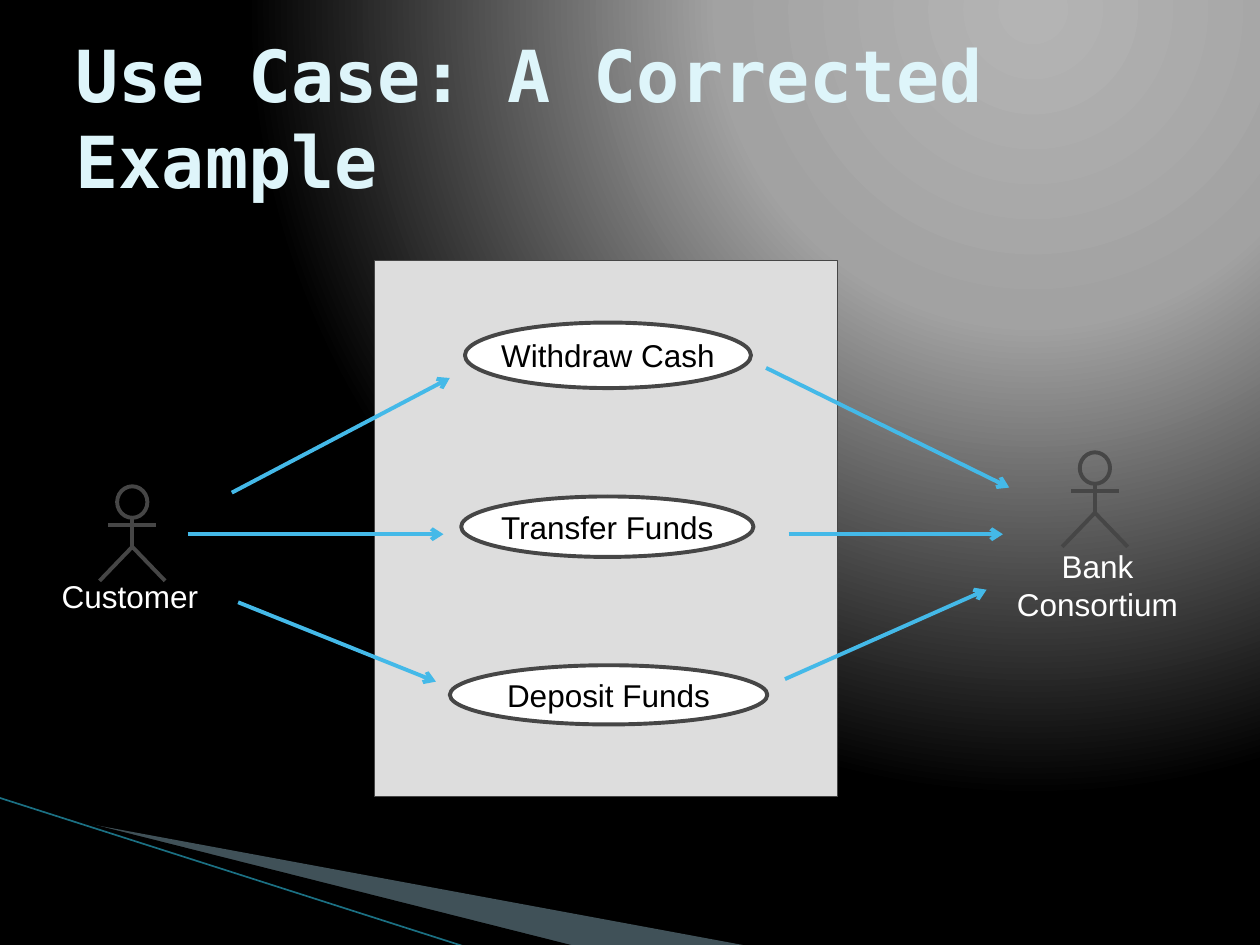
import pptx
import pptx.dml.color
import pptx.enum.shapes
import pptx.enum.text
import pptx.oxml
import pptx.oxml.ns
import pptx.util
from lxml import etree

Inches = pptx.util.Inches
Pt = pptx.util.Pt
RGBColor = pptx.dml.color.RGBColor
Shape = pptx.enum.shapes.MSO_SHAPE
Align = pptx.enum.text.PP_ALIGN
Anchor = pptx.enum.text.MSO_ANCHOR
AutoSize = pptx.enum.text.MSO_AUTO_SIZE
qn = pptx.oxml.ns.qn

BLACK = RGBColor(0x00, 0x00, 0x00)
WHITE = RGBColor(0xFF, 0xFF, 0xFF)
GREY = RGBColor(0x46, 0x46, 0x46)
PANEL = RGBColor(0xDD, 0xDD, 0xDD)
SKY = RGBColor(0x44, 0xB9, 0xE8)
TITLE = RGBColor(0xDE, 0xF5, 0xFA)
WEDGE = RGBColor(0xA0, 0xCB, 0xDC)
TEAL = RGBColor(0x1B, 0x70, 0x83)

BACKGROUND_STOPS = [(0, "B4B4B4"), (40, "A2A2A2"), (100, "000000")]
BACKGROUND_FOCUS = {"l": 65, "t": 0, "r": 0, "b": 98}
TITLE_FORMAT = {"name": "DejaVu Sans Mono", "size": Pt(41), "bold": True}
LABEL_FORMAT = {"name": "Arial", "size": Pt(18), "bold": False}

SWOOSHES = [
    ([(0.55, 6.51), (5.95, 7.51), (4.56, 7.51), (0.55, 6.5)], WEDGE, 40),
    ([(0.53, 6.49), (4.57, 7.51), (3.72, 7.52), (0.54, 6.5)], BLACK, 100),
]
USE_CASES = [
    ("Withdraw Cash", 3.69, 2.56, 2.27, 0.52),
    ("Transfer Funds", 3.66, 3.94, 2.32, 0.48),
    ("Deposit Funds", 3.57, 5.28, 2.52, 0.47),
]
ACTORS = [
    {"name": "Customer", "center": 1.05, "top": 3.86,
     "label": (0.37, 4.52, 1.44, 0.45), "wrap": False, "align": Align.LEFT},
    {"name": "Bank Consortium", "center": 8.69, "top": 3.59,
     "label": (7.76, 4.28, 1.9, 0.78), "wrap": True, "align": Align.CENTER},
]
ARROWS = [
    ((1.84, 3.91), (3.57, 3.0)),
    ((1.49, 4.24), (3.52, 4.24)),
    ((1.89, 4.78), (3.46, 5.41)),
    ((6.08, 2.92), (8.01, 3.87)),
    ((6.26, 4.24), (7.96, 4.24)),
    ((6.23, 5.39), (7.83, 4.68)),
]


def paint(shape, fill=None, line=None, width=2.25):
    shape.shadow.inherit = False
    if fill is None:
        shape.fill.background()
    else:
        shape.fill.solid()
        shape.fill.fore_color.rgb = fill
    if line is None:
        shape.line.fill.background()
    else:
        shape.line.color.rgb = line
        shape.line.width = Pt(width)


def write(frame, text, color, formats, align=Align.LEFT):
    para = frame.paragraphs[0]
    para.alignment = align
    span = para.add_run()
    span.text = text
    span.font.color.rgb = color
    for name, value in formats.items():
        setattr(span.font, name, value)


def add_line(shapes, start, end, color, width=2.25, arrow=False):
    line = shapes.add_connector(pptx.enum.shapes.MSO_CONNECTOR.STRAIGHT,
                                *map(Inches, start + end))
    line.line.color.rgb = color
    line.line.width = Pt(width)
    if arrow:
        etree.SubElement(line.line._get_or_add_ln(), qn("a:tailEnd"), type="arrow")
    etree.SubElement(line._element.spPr, qn("a:effectLst"))


def add_outline(shapes, points, close):
    corners = [(Inches(x), Inches(y)) for x, y in points]
    builder = shapes.build_freeform(*corners[0])
    builder.add_line_segments(corners[1:], close=close)
    return builder.convert_to_shape()


def add_background(page):
    stops = "".join(
        f'<a:gs pos="{place * 1000}"><a:srgbClr val="{color}"/></a:gs>'
        for place, color in BACKGROUND_STOPS)
    focus = " ".join(f'{side}="{value * 1000}"' for side, value in BACKGROUND_FOCUS.items())
    page.element.cSld.insert(0, pptx.oxml.parse_xml(
        f'<p:bg {pptx.oxml.ns.nsdecls("p", "a")}><p:bgPr><a:gradFill rotWithShape="1">'
        f'<a:gsLst>{stops}</a:gsLst><a:path path="circle"><a:fillToRect {focus}/></a:path>'
        '</a:gradFill><a:effectLst/></p:bgPr></p:bg>'))


def add_swooshes(page):
    for points, color, opacity in SWOOSHES:
        swoosh = add_outline(page.shapes, points, True)
        paint(swoosh, color)
        if opacity < 100:
            tone = swoosh._element.spPr.find(qn("a:solidFill"))[0]
            etree.SubElement(tone, qn("a:alpha"), val=str(opacity * 1000))
    add_line(page.shapes, (-0.01, 6.33), (3.71, 7.52), TEAL, 0.95)


def add_title(page):
    title = page.shapes.title
    title.left, title.top, title.width, title.height = map(Inches, (0.5, 0.3, 9, 1.25))
    frame = title.text_frame
    frame.word_wrap = True
    frame.auto_size = AutoSize.NONE
    frame.vertical_anchor = Anchor.MIDDLE
    write(frame, "Use Case: A Corrected Example", TITLE, TITLE_FORMAT)


def add_use_case(page, text, *place):
    oval = page.shapes.add_shape(Shape.OVAL, *map(Inches, place))
    paint(oval, WHITE, GREY)
    oval.text_frame.word_wrap = False
    oval.text_frame.vertical_anchor = Anchor.MIDDLE
    write(oval.text_frame, text, BLACK, LABEL_FORMAT, Align.CENTER)


def add_actor(page, actor):
    shapes = page.shapes.add_group_shape().shapes
    center, top = actor["center"], actor["top"]
    neck, arms, hips, feet = (top + drop for drop in (0.25, 0.31, 0.48, 0.75))
    head = shapes.add_shape(Shape.OVAL, *map(Inches, (center - 0.12, top, 0.24, 0.25)))
    paint(head, line=GREY)
    add_line(shapes, (center, neck), (center, hips), GREY)
    add_line(shapes, (center - 0.19, arms), (center + 0.19, arms), GREY)
    legs = add_outline(
        shapes, [(center - 0.26, feet), (center, hips), (center + 0.26, feet)], False)
    paint(legs, line=GREY)
    box = shapes.add_textbox(*map(Inches, actor["label"]))
    frame = box.text_frame
    settings = {"margin_left": Inches(0.12), "margin_right": Inches(0.12),
                "margin_top": Inches(0.06), "margin_bottom": Inches(0.06),
                "word_wrap": actor["wrap"], "auto_size": AutoSize.SHAPE_TO_FIT_TEXT}
    for name, value in settings.items():
        setattr(frame, name, value)
    write(frame, actor["name"], WHITE, LABEL_FORMAT, actor["align"])


def main():
    deck = pptx.Presentation()
    deck.slide_width, deck.slide_height = Inches(10), Inches(7.5)
    page = deck.slides.add_slide(deck.slide_layouts[5])
    add_background(page)
    add_swooshes(page)
    system = page.shapes.add_shape(Shape.RECTANGLE, *map(Inches, (2.97, 2.07, 3.68, 4.25)))
    paint(system, PANEL, GREY, 0.75)
    add_title(page)
    for use_case in USE_CASES:
        add_use_case(page, *use_case)
    for actor in ACTORS:
        add_actor(page, actor)
    for start, end in ARROWS:
        add_line(page.shapes, start, end, SKY, arrow=True)
    deck.save("out.pptx")


if __name__ == "__main__":
    main()
